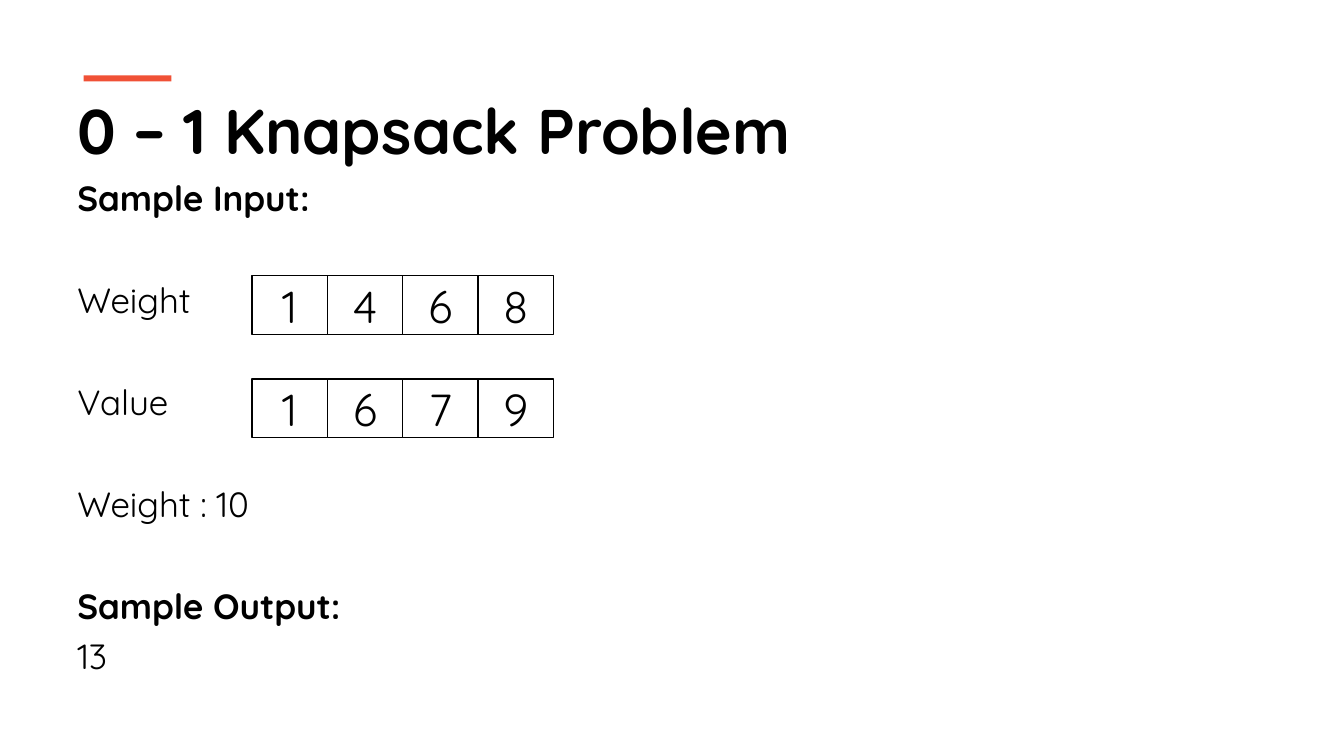
from pptx import Presentation
from pptx.dml.color import RGBColor
from pptx.enum.shapes import MSO_SHAPE
from pptx.enum.text import MSO_ANCHOR, PP_ALIGN
from pptx.util import Cm, Pt

BLACK = RGBColor(0x00, 0x00, 0x00)
WHITE = RGBColor(0xFF, 0xFF, 0xFF)
ORANGE = RGBColor(0xF0, 0x51, 0x36)
FONT = "Quicksand"
LINE_GAP = 8.8
SECTION_GAP = 45.8

SAMPLE = [
    ("Sample Input:", True, 0),
    ("Weight", False, SECTION_GAP),
    ("Value", False, SECTION_GAP),
    ("Weight : 10", False, SECTION_GAP),
    ("Sample Output:", True, SECTION_GAP),
    ("13", False, LINE_GAP),
]
WEIGHTS = [1, 4, 6, 8]
VALUES = [1, 6, 7, 9]


def add_run(p, text, size, bold=False):
    r = p.add_run()
    r.text = text
    r.font.name = FONT
    r.font.size = Pt(size)
    r.font.bold = bold
    r.font.color.rgb = BLACK


def add_box(shapes, left, top, width, height, fill):
    sp = shapes.add_shape(MSO_SHAPE.RECTANGLE, Cm(left), Cm(top), Cm(width), Cm(height))
    sp.shadow.inherit = False
    sp.fill.solid()
    sp.fill.fore_color.rgb = fill
    sp.line.fill.background()
    return sp


def add_title(s, left, top, width, height):
    add_box(s.shapes, left + 0.41, top - 0.28, 2.21, 0.15, ORANGE)
    tf = s.shapes.add_textbox(Cm(left), Cm(top), Cm(width), Cm(height)).text_frame
    tf.word_wrap = True
    add_run(tf.paragraphs[0], "0 – 1 Knapsack Problem", 45, True)


def add_sample(s, left, top, width, height):
    tf = s.shapes.add_textbox(Cm(left), Cm(top), Cm(width), Cm(height)).text_frame
    tf.word_wrap = True
    for i, (text, bold, gap) in enumerate(SAMPLE):
        p = tf.add_paragraph() if i else tf.paragraphs[0]
        p.line_spacing = 0.9
        p.space_before = Pt(gap)
        add_run(p, text, 25, bold)


def add_array(s, left, top, width, height, numbers):
    group = s.shapes.add_group_shape()
    cell_width = width / len(numbers)
    for i, number in enumerate(numbers):
        sp = add_box(group.shapes, left + i * cell_width, top, cell_width, height, WHITE)
        sp.line.color.rgb = BLACK
        sp.line.width = Pt(1)
        tf = sp.text_frame
        tf.vertical_anchor = MSO_ANCHOR.MIDDLE
        p = tf.paragraphs[0]
        p.alignment = PP_ALIGN.CENTER
        add_run(p, str(number), 32)


def main():
    prs = Presentation()
    prs.slide_width, prs.slide_height = Cm(33.87), Cm(19.05)
    s = prs.slides.add_slide(prs.slide_layouts[6])
    add_title(s, 1.7, 2.18, 30.94, 2.18)
    add_sample(s, 1.7, 4.45, 30.48, 14.17)
    add_array(s, 6.35, 6.95, 7.6, 1.48, WEIGHTS)
    add_array(s, 6.35, 9.55, 7.6, 1.48, VALUES)
    prs.save("out.pptx")


if __name__ == "__main__":
    main()
